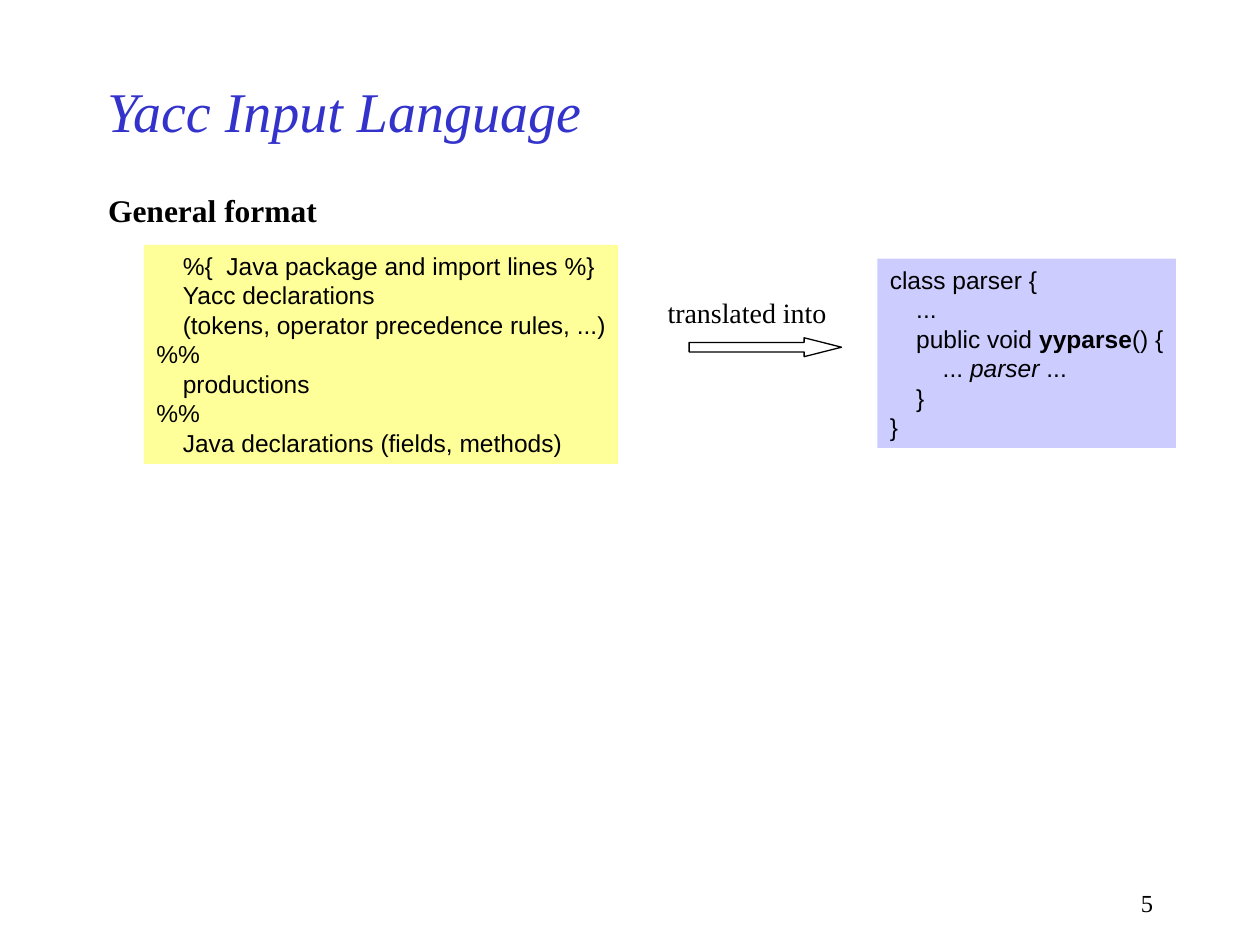
"""Build the slide on the Yacc input language."""
from dataclasses import dataclass

from pptx import Presentation
from pptx.dml.color import RGBColor
from pptx.enum.shapes import MSO_SHAPE
from pptx.enum.text import MSO_ANCHOR, MSO_AUTO_SIZE, PP_ALIGN
from pptx.shapes.autoshape import Shape
from pptx.slide import Slide
from pptx.util import Pt


@dataclass(frozen=True)
class Theme:
    """Colours, fonts and type sizes of the slide."""
    ink: str = "000000"
    title: str = "3333CC"
    grammar: str = "FFFF99"
    output: str = "CCCCFF"
    serif: str = "Times New Roman"
    sans: str = "Arial"
    title_size: float = 32
    heading_size: float = 18
    caption_size: float = 16
    body_size: float = 14
    indent: float = 15.12
    outline: float = 0.75


@dataclass(frozen=True)
class Area:
    """Position and size in points."""
    left: float
    top: float
    width: float
    height: float

    def lengths(self) -> tuple[Pt, Pt, Pt, Pt]:
        """Return the four lengths for python-pptx."""
        return Pt(self.left), Pt(self.top), Pt(self.width), Pt(self.height)


@dataclass(frozen=True)
class Span:
    """A piece of text with its emphasis."""
    text: str
    bold: bool = False
    italic: bool = False


@dataclass(frozen=True)
class Line:
    """A line of text at an indent level."""
    spans: tuple[Span, ...]
    level: int = 0


@dataclass(frozen=True)
class CodePanel:
    """A filled panel of code lines."""
    area: Area
    fill: str
    lines: tuple[Line, ...]


THEME = Theme()


def line(*pieces: str | Span, level: int = 0) -> Line:
    """Make a line from plain texts and emphasised spans."""
    spans = tuple(Span(piece) if isinstance(piece, str) else piece for piece in pieces)
    return Line(spans, level)


PANELS = (
    CodePanel(Area(82.3, 139.9, 271, 125.2), THEME.grammar, (
        line("%{  Java package and import lines %}", level=1),
        line("Yacc declarations", level=1),
        line("(tokens, operator precedence rules, ...)", level=1),
        line("%%"),
        line("productions", level=1),
        line("%%"),
        line("Java declarations (fields, methods)", level=1),
    )),
    CodePanel(Area(501.4, 147.8, 170.6, 108.2), THEME.output, (
        line("class parser {"),
        line("...", level=1),
        line("public void ", Span("yyparse", bold=True), "() {", level=1),
        line("... ", Span("parser", italic=True), " ...", level=2),
        line("}", level=1),
        line("}"),
    )),
)


def add_span(para, text: str, *, font: str = THEME.serif, size: float = THEME.body_size,
             color: str = THEME.ink, bold: bool = False, italic: bool = False) -> None:
    """Add formatted text to a paragraph."""
    span = para.add_run()
    span.text = text
    span.font.name = font
    span.font.size = Pt(size)
    span.font.color.rgb = RGBColor.from_string(color)
    span.font.bold = bold
    span.font.italic = italic


def format_title(title: Shape, text: str) -> None:
    """Place and fill the title placeholder."""
    title.left, title.top, title.width, title.height = Area(54, 36, 540, 54).lengths()
    frame = title.text_frame
    frame.auto_size = MSO_AUTO_SIZE.NONE
    frame.vertical_anchor = MSO_ANCHOR.MIDDLE
    para = frame.paragraphs[0]
    para.alignment = PP_ALIGN.LEFT
    add_span(para, text, size=THEME.title_size, color=THEME.title, italic=True)


def add_label(page: Slide, area: Area, text: str, *, align: PP_ALIGN = PP_ALIGN.LEFT,
              wrap: bool = False, **style) -> None:
    """Add a one-line text box."""
    box = page.shapes.add_textbox(*area.lengths())
    box.text_frame.word_wrap = wrap
    para = box.text_frame.paragraphs[0]
    para.alignment = align
    add_span(para, text, **style)


def add_panel(page: Slide, panel: CodePanel) -> None:
    """Add a code panel with indented lines."""
    box = page.shapes.add_shape(MSO_SHAPE.RECTANGLE, *panel.area.lengths())
    box.shadow.inherit = False
    box.fill.solid()
    box.fill.fore_color.rgb = RGBColor.from_string(panel.fill)
    box.line.fill.background()
    frame = box.text_frame
    frame.word_wrap = False
    frame.vertical_anchor = MSO_ANCHOR.TOP
    for index, row in enumerate(panel.lines):
        para = frame.add_paragraph() if index else frame.paragraphs[0]
        para.alignment = PP_ALIGN.LEFT
        para._p.get_or_add_pPr().set("marL", str(Pt(row.level * THEME.indent)))
        for span in row.spans:
            add_span(para, span.text, font=THEME.sans, bold=span.bold, italic=span.italic)


def add_arrow(page: Slide, area: Area) -> None:
    """Add the outlined translation arrow."""
    arrow = page.shapes.add_shape(MSO_SHAPE.RIGHT_ARROW, *area.lengths())
    arrow.adjustments[0] = 0.5
    arrow.adjustments[1] = 1.98
    arrow.shadow.inherit = False
    arrow.fill.background()
    arrow.line.color.rgb = RGBColor.from_string(THEME.ink)
    arrow.line.width = Pt(THEME.outline)


def main() -> None:
    """Build and save the deck."""
    deck = Presentation()
    deck.slide_width, deck.slide_height = Pt(720), Pt(540)
    page = deck.slides.add_slide(deck.slide_layouts.get_by_name("Title Only"))
    format_title(page.shapes.title, "Yacc Input Language")
    add_label(page, Area(54.7, 105.8, 133.9, 28.8), "General format",
              size=THEME.heading_size, bold=True)
    for panel in PANELS:
        add_panel(page, panel)
    add_arrow(page, Area(393.8, 193, 87.1, 10.8))
    add_label(page, Area(374.4, 165.6, 105.1, 26.6), "translated into",
              size=THEME.caption_size)
    add_label(page, Area(516.2, 504, 149.8, 23.8), "5", align=PP_ALIGN.RIGHT, wrap=True)
    deck.save("out.pptx")


if __name__ == "__main__":
    main()
